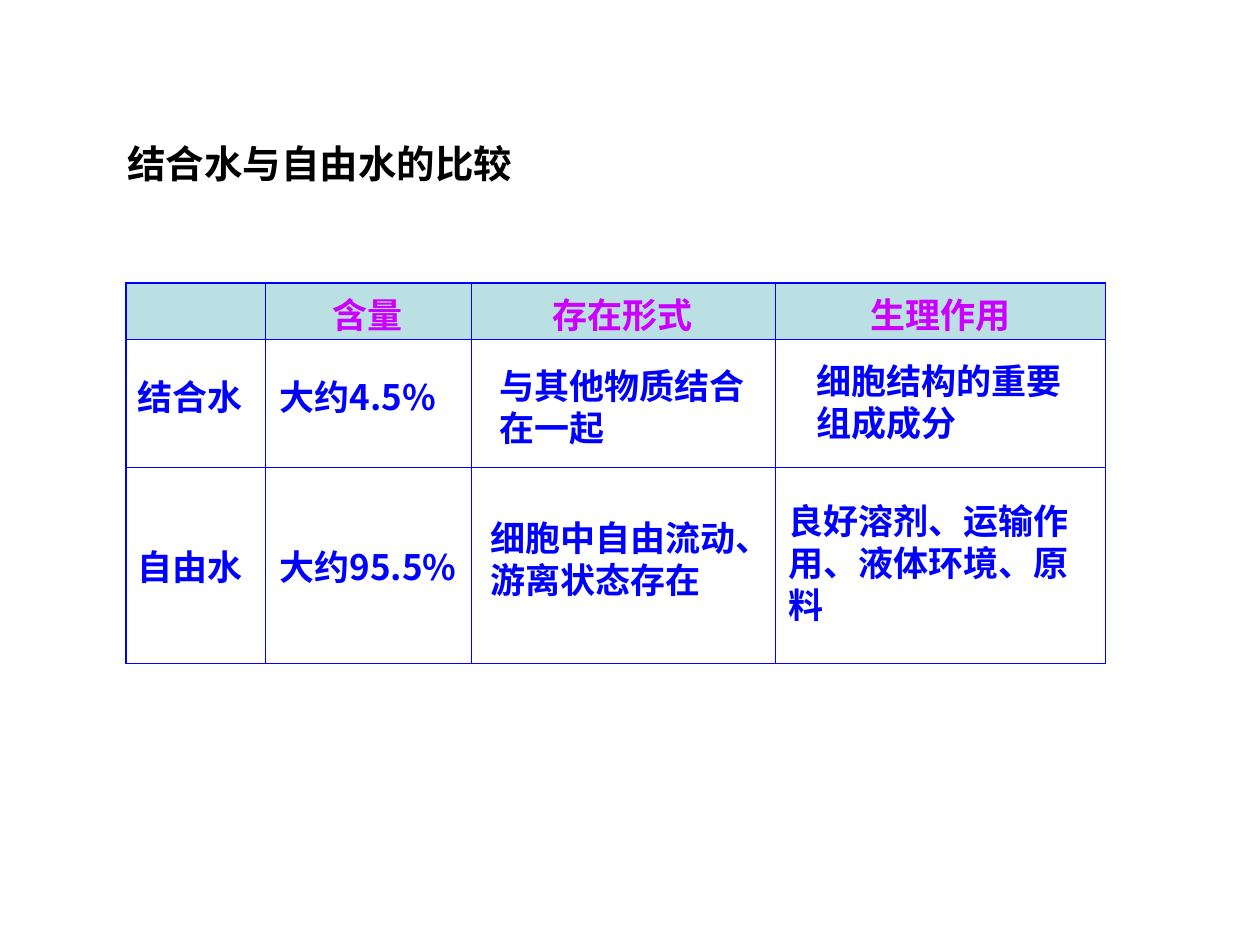
from dataclasses import dataclass

from lxml import etree
from pptx import Presentation
from pptx.dml.color import RGBColor
from pptx.enum.text import MSO_ANCHOR, MSO_AUTO_SIZE, PP_ALIGN
from pptx.oxml.ns import qn
from pptx.util import Pt

LEFT, CENTER, JUSTIFY = PP_ALIGN.LEFT, PP_ALIGN.CENTER, PP_ALIGN.JUSTIFY
TOP, MIDDLE = MSO_ANCHOR.TOP, MSO_ANCHOR.MIDDLE
NO_AUTOFIT = MSO_AUTO_SIZE.NONE
PX = 914400 // 126


@dataclass(frozen=True)
class Theme:
    body_font: str = "Noto Sans CJK SC"
    header_font: str = "Arial"
    title_color: str = "000000"
    header_color: str = "CC00FF"
    body_color: str = "0000FF"
    border_color: str = "0000FF"
    header_fill: str = "BBE0E3"
    title_size: int = 22
    body_size: int = 20
    inner_border: float = 0.45
    outer_border: float = 0.75


theme = Theme()


def format_text(frame, align, font_name, size, color):
    for para in frame.paragraphs:
        para.alignment = align
        for span in para.runs:
            span.font.size = Pt(size)
            span.font.bold = True
            span.font.color.rgb = RGBColor.from_string(color)
            span.font.name = font_name
            east_asian = etree.SubElement(span.font._element, qn("a:ea"))
            east_asian.set("typeface", theme.body_font)


def add_border(cell, side, width):
    line = etree.SubElement(cell._tc.get_or_add_tcPr(), qn(f"a:{side}"), w=str(Pt(width)))
    fill = etree.SubElement(line, qn("a:solidFill"))
    etree.SubElement(fill, qn("a:srgbClr"), val=theme.border_color)


deck = Presentation()
deck.slide_width = 1260 * PX
deck.slide_height = 945 * PX
page = deck.slides.add_slide(deck.slide_layouts[5])

title = page.shapes.title
title.left, title.top, title.width, title.height = 115 * PX, 115 * PX, 1053 * PX, 78 * PX
title.text_frame.text = "结合水与自由水的比较"
title.text_frame.vertical_anchor = TOP
title.text_frame.auto_size = NO_AUTOFIT
title.text_frame.paragraphs[0].line_spacing = 1.4
format_text(title.text_frame, LEFT, theme.body_font, theme.title_size, theme.title_color)

headers = ["", "含量", "存在形式", "生理作用"]
column_widths = [139, 206, 304, 331]
row_heights = [56, 128, 197]
table = page.shapes.add_table(
    len(row_heights), len(column_widths), 126 * PX, 283 * PX,
    sum(column_widths) * PX, sum(row_heights) * PX,
).table
table.first_row = False
table.horz_banding = False
for column, width in zip(table.columns, column_widths):
    column.width = width * PX
for row, height in zip(table.rows, row_heights):
    row.height = height * PX

last_row, last_column = len(row_heights) - 1, len(column_widths) - 1
for row_index in range(len(row_heights)):
    for column_index in range(len(column_widths)):
        cell = table.cell(row_index, column_index)
        outer_sides = {
            "lnL": column_index == 0,
            "lnR": column_index == last_column,
            "lnT": row_index == 0,
            "lnB": row_index == last_row,
        }
        for side, is_outer in outer_sides.items():
            add_border(cell, side, theme.outer_border if is_outer else theme.inner_border)
        if row_index == 0:
            cell.fill.solid()
            cell.fill.fore_color.rgb = RGBColor.from_string(theme.header_fill)
            cell.vertical_anchor = MIDDLE
            cell.margin_top, cell.margin_bottom = 5 * PX, 0
            cell.text_frame.text = headers[column_index]
            format_text(cell.text_frame, CENTER, theme.header_font,
                        theme.body_size, theme.header_color)
        else:
            cell.fill.background()

entries = [
    (125, 369, 130, 55, False, "结合水"),
    (267, 369, 229, 55, True, "大约4.5%"),
    (487, 358, 271, 97, False, "与其他物质结合\n在一起"),
    (804, 353, 271, 97, False, "细胞结构的重要\n组成成分"),
    (125, 539, 130, 55, False, "自由水"),
    (267, 539, 262, 55, True, "大约95.5%"),
    (478, 510, 305, 97, False, "细胞中自由流动、\n游离状态存在"),
    (776, 493, 331, 139, True, "良好溶剂、运输作\n用、液体环境、原\n料"),
]
for left, top, width, height, wraps, words in entries:
    box = page.shapes.add_textbox(left * PX, top * PX, width * PX, height * PX)
    box.text_frame.text = words
    box.text_frame.word_wrap = wraps
    format_text(box.text_frame, JUSTIFY if wraps else LEFT, theme.body_font,
                theme.body_size, theme.body_color)

deck.save("out.pptx")
